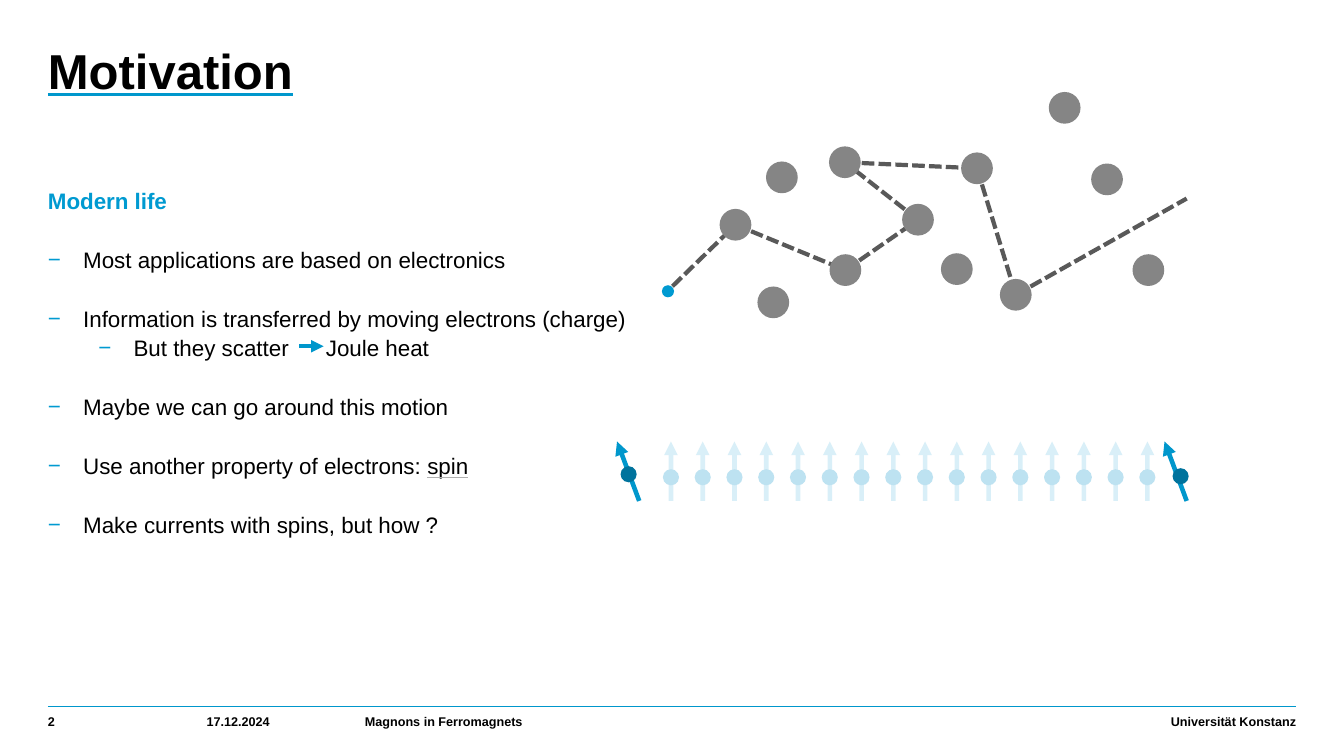
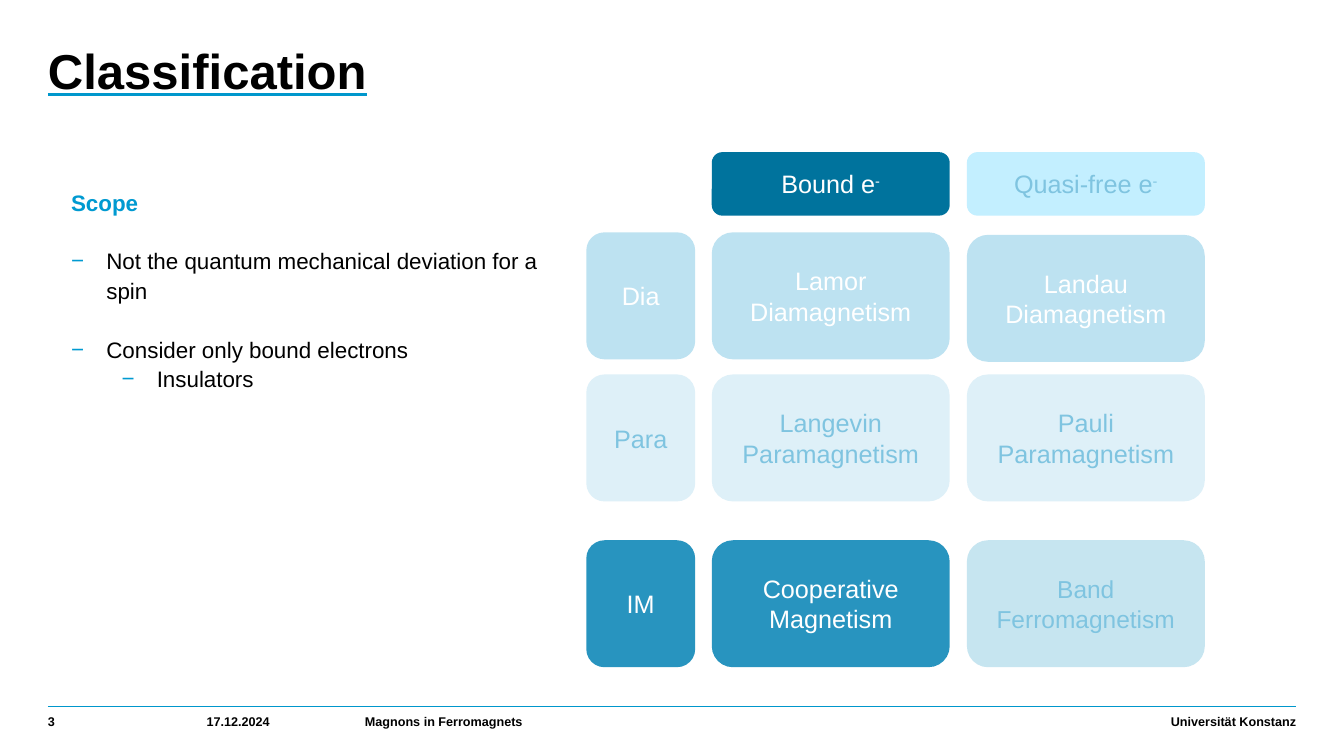
from dataclasses import dataclass
from itertools import pairwise

from lxml.etree import SubElement
from pptx import Presentation
from pptx.dml.color import RGBColor
from pptx.enum.dml import MSO_LINE
from pptx.enum.shapes import MSO_CONNECTOR, MSO_SHAPE
from pptx.enum.text import MSO_ANCHOR, PP_ALIGN
from pptx.oxml.ns import qn
from pptx.util import Inches, Pt

# Shared style; lengths are columns and rows of a 0.1 inch grid
COLORS = {
    "black": "000000", "white": "FFFFFF", "rule": "0097CC", "accent": "009AD1",
    "faint": "0099D1", "deep": "00739D", "atom": "858585", "track": "595959",
    "sky": "BDE2F1", "mist": "DEF0F8", "ice": "C3EFFF", "haze": "C6E5F0",
    "sea": "2894BF", "underline": "B0B0B0", "muted": "7FC4E0",
}
PALE_FILLS = {"mist", "ice", "haze"}   # too light for white text
FONT = "Arial"
LEFT, RIGHT = 4.75, 128.55
BODY_SIZE = 16
LINE_PITCH = 21
INDENT = 0.35


@dataclass(frozen=True)
class Item:
    runs: tuple          # pairs of text and format
    level: int = 1       # 0 heading, 1 point, 2 sub-point
    gap: bool = True     # one line of space before


@dataclass(frozen=True)
class Cell:
    col: int
    row: int
    text: str
    fill: str
    sup: str = ""
    shift: float = 0
    size: float = 18


@dataclass(frozen=True)
class Arrow:
    start: tuple
    end: tuple
    color: str = "rule"
    width: float = 3.25
    alpha: int = 100


def grid(n: float) -> int:
    return Inches(n / 10)


def rgb(name: str) -> RGBColor:
    return RGBColor.from_string(COLORS[name])


def add_run(p, text: str, *, size: float = BODY_SIZE, color: str = "black", bold: bool = False,
            underline: str = "", sup: bool = False, spacing: float = 0) -> None:
    r = p.add_run()
    r.text = text
    r.font.size, r.font.bold, r.font.name = Pt(size), bold, FONT
    r.font.color.rgb = rgb(color)
    props = r.font._element
    if underline:
        r.font.underline = True
        u_fill = SubElement(props, qn("a:uFill"))
        solid = SubElement(u_fill, qn("a:solidFill"))
        SubElement(solid, qn("a:srgbClr"), val=COLORS[underline])
        props.find(qn("a:solidFill")).addnext(u_fill)
    if sup:
        props.set("baseline", "30000")
    if spacing:
        props.set("spc", str(int(spacing * 100)))


def add_box(s, x: float, y: float, w: float, h: float, *, bottom: float = 0, anchor=MSO_ANCHOR.TOP):
    tf = s.shapes.add_textbox(grid(x), grid(y), grid(w), grid(h)).text_frame
    tf.word_wrap = True
    tf.margin_left = tf.margin_right = tf.margin_top = 0
    tf.margin_bottom = grid(bottom)
    tf.vertical_anchor = anchor
    return tf


def add_filled(s, kind, x: float, y: float, w: float, h: float, color: str):
    sp = s.shapes.add_shape(kind, grid(x), grid(y), grid(w), grid(h))
    sp.shadow.inherit = False
    sp.fill.solid()
    sp.fill.fore_color.rgb = rgb(color)
    sp.line.fill.background()
    return sp


def add_dot(s, center: tuple, size: float, color: str) -> None:
    x, y = center
    add_filled(s, MSO_SHAPE.OVAL, x - size / 2, y - size / 2, size, size, color)


def add_line(s, start: tuple, end: tuple, color: str, width: float, *, dash=None, alpha: int = 100):
    c = s.shapes.add_connector(MSO_CONNECTOR.STRAIGHT, *map(grid, start + end))
    c.line.color.rgb = rgb(color)
    c.line.width = Pt(width)
    if dash:
        c.line.dash_style = dash
    if alpha < 100:
        clr = c.line._ln.find(".//" + qn("a:srgbClr"))
        SubElement(clr, qn("a:alpha"), val=str(alpha * 1000))
    SubElement(c._element.spPr, qn("a:effectLst"))
    return c


def add_arrow(s, a: Arrow) -> None:
    c = add_line(s, a.start, a.end, a.color, a.width, alpha=a.alpha)
    SubElement(c.line._ln, qn("a:tailEnd"), type="triangle")


def add_slide(prs, title: str, number: int):
    s = prs.slides.add_slide(prs.slide_layouts[6])
    # Footer band
    add_line(s, (LEFT, 70.1), (RIGHT, 70.1), "rule", 1)
    footers = (
        (LEFT, 13.6, str(number), PP_ALIGN.LEFT),
        (20.5, 13.7, "17.12.2024", PP_ALIGN.LEFT),
        (36.2, 45, "Magnons in Ferromagnets", PP_ALIGN.LEFT),
        (83.5, RIGHT - 83.5, "Universität Konstanz", PP_ALIGN.RIGHT),
    )
    for x, w, text, align in footers:
        p = add_box(s, x, 70.55, w, 2.4, bottom=0.6, anchor=MSO_ANCHOR.BOTTOM).paragraphs[0]
        p.alignment = align
        add_run(p, text, size=9, bold=True)
    # Title
    p = add_box(s, LEFT, 4.4, 92.4, 13.4).paragraphs[0]
    p.line_spacing = 0.95
    add_run(p, title, size=35, bold=True, underline="rule")
    return s


def add_body(s, x: float, y: float, w: float, h: float, items: list[Item]) -> None:
    tf = add_box(s, x, y, w, h)
    for i, item in enumerate(items):
        p = tf.add_paragraph() if i else tf.paragraphs[0]
        p.line_spacing = 1.1
        if i and item.gap:
            p.space_before = Pt(LINE_PITCH)
        if item.level:
            props = p._p.get_or_add_pPr()
            props.set("marL", str(Inches(INDENT + 0.5 * (item.level - 1))))
            props.set("indent", str(-Inches(INDENT)))
            bullet = SubElement(props, qn("a:buClr"))
            SubElement(bullet, qn("a:srgbClr"), val=COLORS["accent"])
            SubElement(props, qn("a:buFont"), typeface=FONT)
            SubElement(props, qn("a:buChar"), char="−")
        for text, fmt in item.runs:
            add_run(p, text, **fmt)


def heading(text: str) -> Item:
    return Item(((text, {"color": "accent", "bold": True}),), level=0)


def point(text: str, level: int = 1) -> Item:
    return Item(((text, {}),), level, gap=level == 1)


def build_motivation(prs) -> None:
    s = add_slide(prs, "Motivation", 2)
    add_body(s, LEFT, 18.3, 60.9, 44.9, [
        heading("Modern life"),
        point("Most applications are based on electronics"),
        point("Information is transferred by moving electrons (charge)"),
        Item((("But they scatter", {}), (" ", {"spacing": 22}), ("Joule heat", {})), 2, False),
        point("Maybe we can go around this motion"),
        Item((("Use another property of electrons: ", {}), ("spin", {"underline": "underline"}))),
        point("Make currents with spins, but how ?"),
    ])
    add_arrow(s, Arrow((29.7, 34.35), (32.1, 34.35), width=3))

    # Electron scattered between atoms
    track = [(66.7, 28.4), (72.95, 22.3), (83.85, 26.8), (91.05, 21.8), (83.8, 16.1),
             (96.9, 16.7), (100.75, 29.25), (117.7, 19.7)]
    for start, end in pairwise(track):
        add_line(s, start, end, "track", 3, dash=MSO_LINE.SQUARE_DOT)
    missed = [(109.8, 17.8), (113.9, 26.8), (105.6, 10.7), (94.9, 26.7), (77.55, 17.6), (76.7, 30)]
    for center in track[1:-1] + missed:
        add_dot(s, center, 3.15, "atom")
    add_dot(s, (66.25, 28.9), 1.2, "accent")

    # Chain of spins between two tilted ones
    top, bottom, pitch = 43.8, 49.7, 3.15
    chain = [66.55 + pitch * i for i in range(16)]
    tilted = [(63.4, 62.35, 47.05), (117.7, 117.1, 47.25)]
    for x in chain:
        add_arrow(s, Arrow((x, bottom), (x, top), "faint", alpha=15))
        add_dot(s, (x, 47.35), 1.6, "sky")
    for foot, x, y in tilted:
        add_arrow(s, Arrow((foot, bottom), (foot - 2.2, top)))
        add_dot(s, (x, y), 1.6, "deep")


def build_classification(prs) -> None:
    s = add_slide(prs, "Classification", 3)
    add_body(s, 7.05, 18.45, 49.5, 47.8, [
        heading("Scope"),
        point("Not the quantum mechanical deviation for a spin"),
        point("Consider only bound electrons"),
        point("Insulators", 2),
    ])

    # Magnetism matrix: start and length of each column and row
    cols = [(58.15, 10.8), (70.6, 23.6), (95.9, 23.6)]
    rows = [(15.1, 6.3), (23.05, 12.6), (37.15, 12.6), (53.6, 12.6)]
    cells = [
        Cell(1, 0, "Bound e", "deep", sup="-"),
        Cell(2, 0, "Quasi-free e", "ice", sup="-"),
        Cell(0, 1, "Dia", "sky"),
        Cell(1, 1, "Lamor Diamagnetism", "sky"),
        Cell(2, 1, "Landau Diamagnetism", "sky", shift=0.25),
        Cell(0, 2, "Para", "mist"),
        Cell(1, 2, "Langevin Paramagnetism", "mist"),
        Cell(2, 2, "Pauli Paramagnetism", "mist"),
        Cell(0, 3, "IM", "sea"),
        Cell(1, 3, "Cooperative Magnetism", "sea"),
        Cell(2, 3, "Band Ferromagnetism", "haze", size=17.5),
    ]
    for cell in cells:
        (x, w), (y, h) = cols[cell.col], rows[cell.row]
        sp = add_filled(s, MSO_SHAPE.ROUNDED_RECTANGLE, x, y + cell.shift, w, h, cell.fill)
        tf = sp.text_frame
        tf.word_wrap = True
        tf.vertical_anchor = MSO_ANCHOR.MIDDLE
        p = tf.paragraphs[0]
        p.alignment = PP_ALIGN.CENTER
        color = "muted" if cell.fill in PALE_FILLS else "white"
        add_run(p, cell.text, size=cell.size, color=color)
        if cell.sup:
            add_run(p, cell.sup, size=cell.size, color=color, sup=True)


def main() -> None:
    prs = Presentation()
    prs.slide_width, prs.slide_height = Inches(13.33), Inches(7.5)
    build_motivation(prs)
    build_classification(prs)
    prs.save("out.pptx")


if __name__ == "__main__":
    main()
